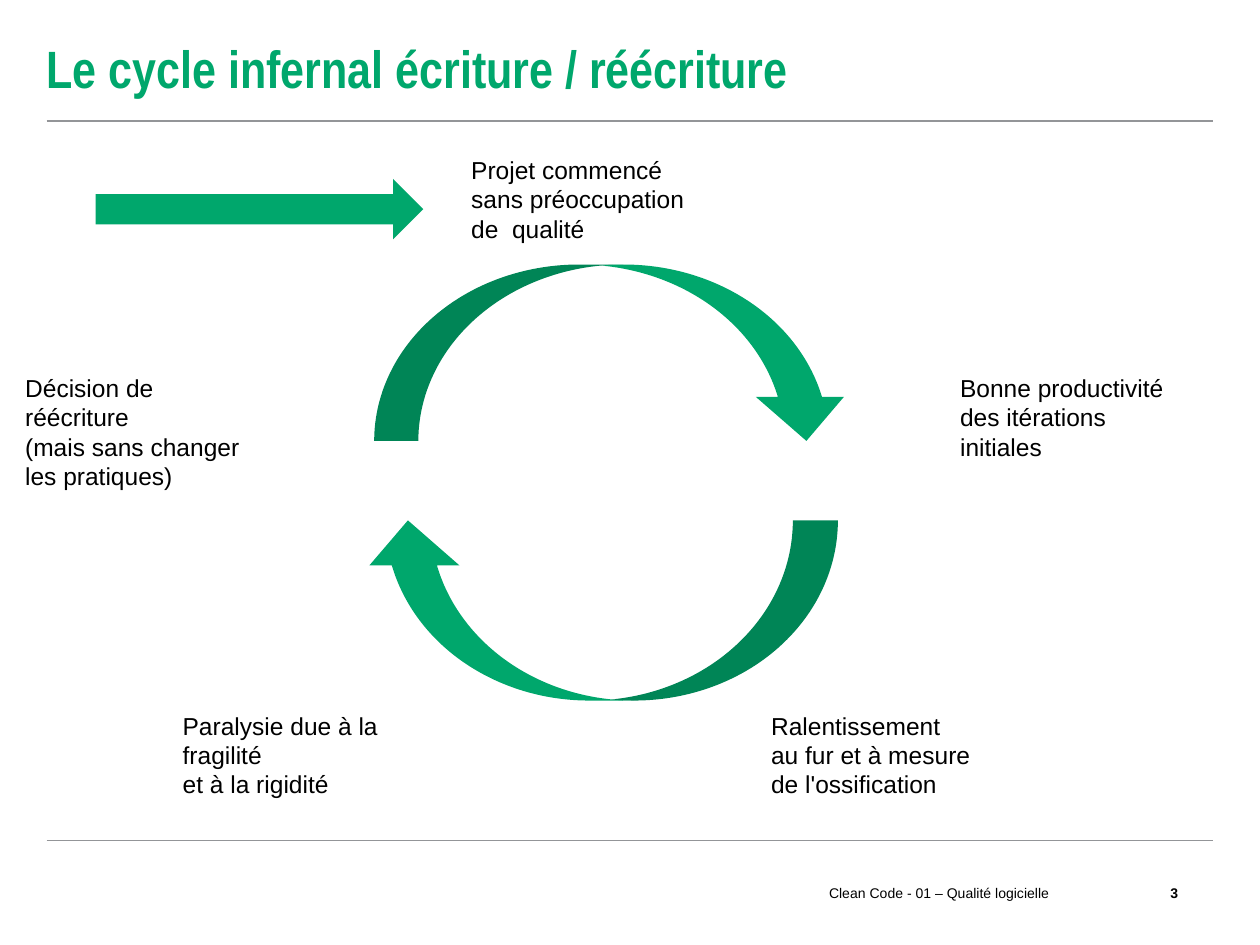
from pptx import Presentation
from pptx.dml.color import RGBColor
from pptx.enum.shapes import MSO_CONNECTOR, MSO_SHAPE
from pptx.enum.text import MSO_ANCHOR, PP_ALIGN
from pptx.oxml.ns import qn
from pptx.util import Pt
from lxml import etree

PX = 9144
GREEN, GREY, BLACK = "00A76C", "939598", "000000"


def color(value):
    return RGBColor.from_string(value)


def add_text(box, lines, size, font="Arial", ink=BLACK, bold=False,
             anchor=MSO_ANCHOR.TOP, align=PP_ALIGN.LEFT, wrap=True):
    frame = slide.shapes.add_textbox(*[value * PX for value in box]).text_frame
    frame.margin_left = frame.margin_right = frame.margin_top = frame.margin_bottom = 0
    frame.word_wrap = wrap
    frame.vertical_anchor = anchor
    frame.text = "\n".join(lines)
    for paragraph in frame.paragraphs:
        paragraph.alignment = align
        paragraph.font.name = font
        paragraph.font.size = Pt(size)
        paragraph.font.bold = bold
        paragraph.font.color.rgb = color(ink)


presentation = Presentation()
presentation.slide_width = 1000 * PX
presentation.slide_height = 750 * PX
slide = presentation.slides.add_slide(presentation.slide_layouts[6])

for y in (667, 96):
    rule = slide.shapes.add_connector(
        MSO_CONNECTOR.STRAIGHT, 37 * PX, y * PX, 963 * PX, y * PX)
    rule.line.color.rgb = color(GREY)
    rule.line.width = Pt(1)
    etree.SubElement(rule._element.spPr, qn("a:effectLst"))

add_text((37, 13, 925, 81), ["Le cycle infernal écriture / réécriture"], 30,
         font="Arial Narrow", ink=GREEN, bold=True, anchor=MSO_ANCHOR.MIDDLE)

for left, width, text, bold in (
    (613, 220, "Clean Code - 01 – Qualité logicielle", False),
    (915, 20, "3", True),
):
    add_text((left, 699, width, 20), [text], 8, bold=bold,
             anchor=MSO_ANCHOR.MIDDLE, align=PP_ALIGN.RIGHT)

steps = (
    (374, 123, ["Projet commencé", "sans préoccupation", "de  qualité"]),
    (762, 296, ["Bonne productivité", "des itérations initiales"]),
    (612, 564, ["Ralentissement", "au fur et à mesure", "de l'ossification"]),
    (145, 564, ["Paralysie due à la fragilité", "et à la rigidité"]),
    (20, 296, ["Décision de réécriture", "(mais sans changer", "les pratiques)"]),
)
for left, top, lines in steps:
    add_text((left, top, 173, 87), lines, 14, wrap=False)

arrows = (
    (MSO_SHAPE.CURVED_UP_ARROW, (297, 210, 378, 140), (0.25, 0.5, 0.25), 0, True),
    (MSO_SHAPE.CURVED_DOWN_ARROW, (288, 413, 377, 143), (0.25, 0.5, 0.25), 180, False),
    (MSO_SHAPE.RIGHT_ARROW, (76, 142, 260, 48), (0.5, 0.5), 0, False),
)
for kind, box, adjustments, rotation, flipped in arrows:
    arrow = slide.shapes.add_shape(kind, *[value * PX for value in box])
    for index, value in enumerate(adjustments):
        arrow.adjustments[index] = value
    arrow.rotation = rotation
    if flipped:
        arrow._element.spPr.find(qn("a:xfrm")).set("flipV", "1")
    arrow.shadow.inherit = False
    arrow.fill.solid()
    arrow.fill.fore_color.rgb = color(GREEN)
    arrow.line.fill.background()

presentation.save("out.pptx")
